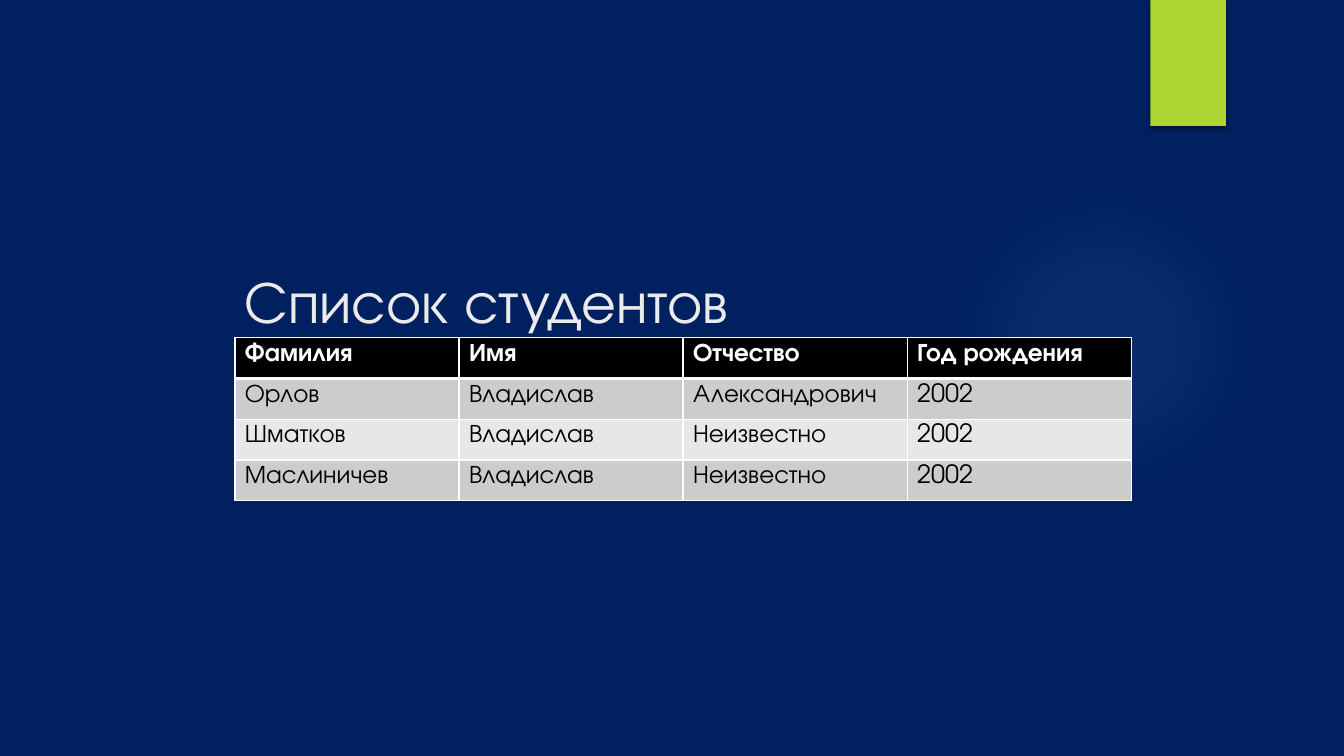
from lxml.etree import SubElement
from pptx import Presentation
from pptx.dml.color import RGBColor
from pptx.enum.shapes import MSO_SHAPE
from pptx.oxml import parse_xml
from pptx.oxml.ns import qn
from pptx.util import Inches, Pt

FONT = "TeX Gyre Adventor"
NAMESPACE = 'xmlns:a="http://schemas.openxmlformats.org/drawingml/2006/main"'
COLORS = {
    "background": "002060",
    "glow": "7AC4F0",
    "ribbon": "ACD433",
    "title": "EBEBEB",
    "header": "000000",
    "odd_row": "CCCCCC",
    "even_row": "E7E7E7",
    "light": "FFFFFF",
    "dark": "000000",
}
STUDENTS = [
    ("Фамилия", "Имя", "Отчество", "Год рождения"),
    ("Орлов", "Владислав", "Александрович", "2002"),
    ("Шматков", "Владислав", "Неизвестно", "2002"),
    ("Маслиничев", "Владислав", "Неизвестно", "2002"),
]


def color(name):
    return RGBColor.from_string(COLORS[name])


def inches(box):
    return [Inches(length) for length in box]


def write(frame, text, size, color_name, bold=False):
    frame.text = text
    font = frame.paragraphs[0].runs[0].font
    font.name, font.size, font.bold = FONT, Pt(size), bold
    font.color.rgb = color(color_name)


def add_plain_shape(page, kind, box, color_name):
    shape = page.shapes.add_shape(kind, *inches(box))
    shape.shadow.inherit = False
    shape.fill.solid()
    shape.fill.fore_color.rgb = color(color_name)
    shape.line.fill.background()
    return shape


def add_glow(page, box):
    glow = add_plain_shape(page, MSO_SHAPE.OVAL, box, "glow")
    stops = "".join(
        f'<a:gs pos="{place * 1000}"><a:srgbClr val="{COLORS["glow"]}">'
        f'<a:alpha val="{alpha * 1000}"/></a:srgbClr></a:gs>'
        for place, alpha in ((0, 7), (36, 6), (69, 0), (100, 0))
    )
    gradient = parse_xml(
        f'<a:gradFill {NAMESPACE} rotWithShape="1"><a:gsLst>{stops}</a:gsLst>'
        '<a:path path="circle"><a:fillToRect l="50000" t="50000" r="50000" b="50000"/>'
        "</a:path></a:gradFill>"
    )
    properties = glow.element.spPr
    properties.replace(properties.find(qn("a:solidFill")), gradient)


def add_ribbon(page, box):
    ribbon = add_plain_shape(page, MSO_SHAPE.RECTANGLE, box, "ribbon")
    effects = ribbon.element.spPr.find(qn("a:effectLst"))
    effects.append(parse_xml(
        f'<a:outerShdw {NAMESPACE} blurRad="{Pt(3)}" dist="{Pt(2)}" dir="5400000" rotWithShape="0">'
        f'<a:srgbClr val="{COLORS["dark"]}"><a:alpha val="45000"/></a:srgbClr></a:outerShdw>'
    ))


def add_title(page, box, text):
    title = page.shapes.add_textbox(*inches(box))
    title.text_frame.word_wrap = True
    write(title.text_frame, text, 42, "title")


def set_borders(cell, widths):
    properties = cell._tc.get_or_add_tcPr()
    for side, width in widths.items():
        line = SubElement(properties, qn(f"a:ln{side}"), w=str(Pt(width)))
        fill = SubElement(line, qn("a:solidFill"))
        SubElement(fill, qn("a:srgbClr"), val=COLORS["light"])


def add_student_table(page, box, rows):
    table = page.shapes.add_table(len(rows), len(rows[0]), *inches(box)).table
    for row_index, row in enumerate(rows):
        is_header = row_index == 0
        fill = "header" if is_header else "odd_row" if row_index % 2 else "even_row"
        widths = {
            "L": 1,
            "R": 1,
            "T": 3 if row_index == 1 else 1,
            "B": 3 if is_header else 1,
        }
        for column_index, text in enumerate(row):
            cell = table.cell(row_index, column_index)
            write(cell.text_frame, text, 18, "light" if is_header else "dark", is_header)
            set_borders(cell, widths)
            cell.fill.solid()
            cell.fill.fore_color.rgb = color(fill)


def build_student_slide(deck):
    page = deck.slides.add_slide(deck.slide_layouts[6])
    page.background.fill.solid()
    page.background.fill.fore_color.rgb = color("background")
    add_glow(page, (9.41, 1.83, 3.08, 3.08))
    add_ribbon(page, (11.41, 0, 0.75, 1.25))
    add_title(page, (2.33, 2.58, 10.29, 1.53), "Список студентов")
    add_student_table(page, (2.33, 3.35, 8.89, 1.62), STUDENTS)


deck = Presentation()
deck.slide_width, deck.slide_height = Inches(13.33), Inches(7.5)
build_student_slide(deck)
deck.save("out.pptx")
